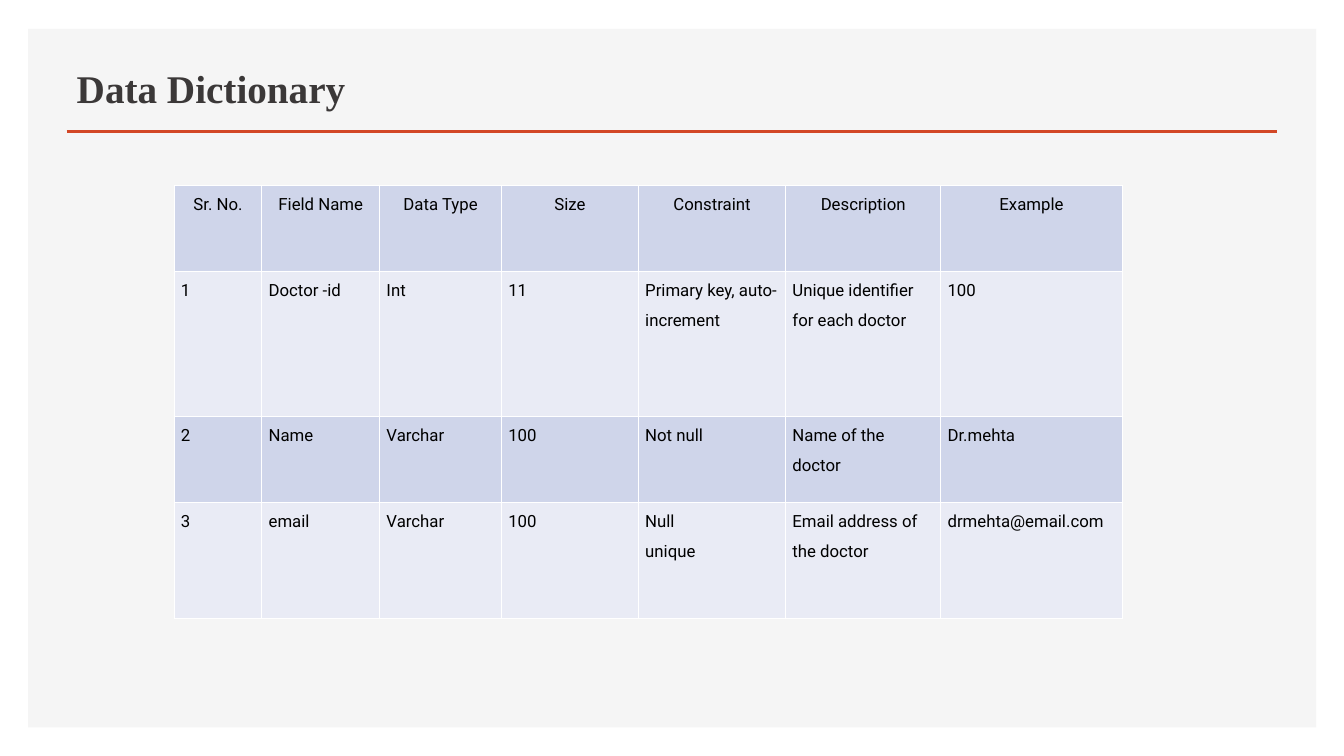
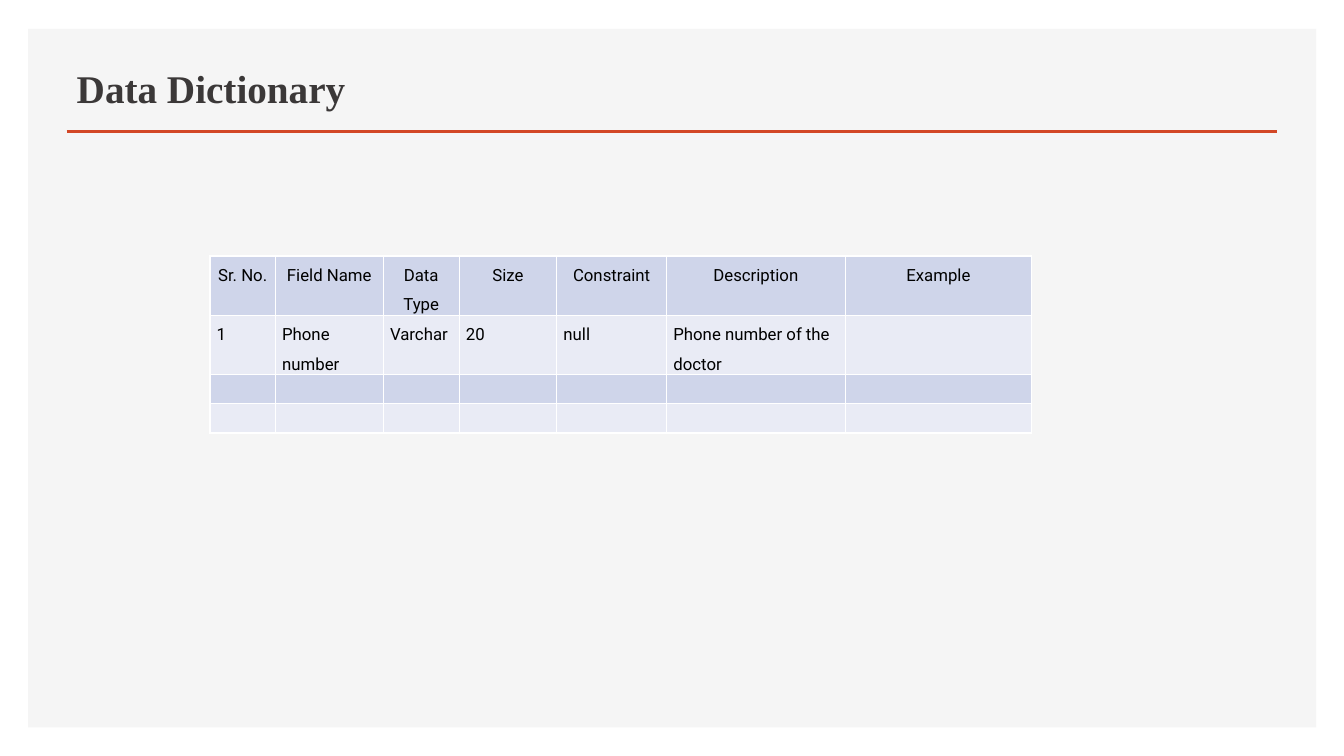
from dataclasses import dataclass

from lxml.etree import SubElement
from pptx import Presentation
from pptx.dml.color import RGBColor
from pptx.enum.shapes import MSO_CONNECTOR as Connector, MSO_SHAPE as Shape
from pptx.enum.text import MSO_ANCHOR as Anchor, MSO_AUTO_SIZE as AutoSize, PP_ALIGN as Align
from pptx.oxml.ns import qn
from pptx.util import Cm, Pt

TITLE = "Data Dictionary"
HEADER = ("Sr. No.", "Field Name", "Data Type", "Size", "Constraint", "Description", "Example")
BLANK = ("",) * len(HEADER)

TABLES = [
    dict(
        left=4.39, top=4.67,
        widths=(2.21, 2.97, 3.07, 3.45, 3.71, 3.91, 4.57),
        heights=(2.17, 3.65, 2.17, 2.92),
        rows=[
            ("1", "Doctor -id", "Int", "11", "Primary key, auto-increment",
             "Unique identifier for each doctor", "100"),
            ("2", "Name", "Varchar", "100", "Not null", "Name of the doctor", "Dr.mehta"),
            ("3", "email", "Varchar", "100", "Null\nunique",
             "Email address of the doctor", "drmehta@email.com"),
        ],
    ),
    dict(
        left=5.29, top=6.45,
        widths=(1.65, 2.72, 1.91, 2.46, 2.77, 4.5, 4.7),
        heights=(1.49, 1.49, 0.74, 0.74),
        rows=[
            ("1", "Phone number", "Varchar", "20", "null", "Phone number of the doctor", ""),
            BLANK,
            BLANK,
        ],
    ),
]


@dataclass(frozen=True)
class Theme:
    panel: str = "F5F5F5"
    accent: str = "D24726"
    title: str = "3B3838"
    text: str = "000000"
    border: str = "FFFFFF"
    bands: tuple = ("CFD5EA", "E9EBF5")
    title_font: str = "Times New Roman"
    body_font: str = "Roboto"
    title_size: int = 28
    body_size: int = 12
    rule_width: int = 2
    border_width: int = 1
    margin: float = 1.68
    content_width: float = 30.5
    rule_top: float = 3.32
    cell_inset: float = 0.17


THEME = Theme()


def rgb(value):
    return RGBColor.from_string(value)


def set_font(font, name, size, color, bold=False):
    font.name, font.size, font.bold = name, Pt(size), bold
    font.color.rgb = rgb(color)


def decorate_layout(layout, s):
    panel = s.shapes.add_shape(Shape.RECTANGLE, Cm(0.71), Cm(0.73), Cm(32.46), Cm(17.6))
    panel.shadow.inherit = False
    panel.fill.solid()
    panel.fill.fore_color.rgb = rgb(THEME.panel)
    panel.line.fill.background()
    y = Cm(THEME.rule_top)
    rule = s.shapes.add_connector(Connector.STRAIGHT, Cm(THEME.margin), y,
                                  Cm(THEME.margin + THEME.content_width), y)
    rule.line.color.rgb = rgb(THEME.accent)
    rule.line.width = Pt(THEME.rule_width)
    SubElement(rule._element.spPr, qn("a:effectLst"))
    for index, shape in enumerate((panel, rule), start=2):
        layout.shapes._spTree.insert(index, shape._element)


def format_title(s):
    title = s.shapes.title
    title.left, title.top = Cm(THEME.margin), Cm(1.24)
    title.width, title.height = Cm(THEME.content_width), Cm(2.08)
    tf = title.text_frame
    tf.text = TITLE
    tf.word_wrap = True
    tf.auto_size = AutoSize.NONE
    tf.vertical_anchor = Anchor.MIDDLE
    p = tf.paragraphs[0]
    p.alignment = Align.LEFT
    p.line_spacing = 0.9
    set_font(p.font, THEME.title_font, THEME.title_size, THEME.title, bold=True)


def add_borders(cell):
    tc_pr = cell._tc.get_or_add_tcPr()
    for side in ("lnL", "lnR", "lnT", "lnB"):
        ln = SubElement(tc_pr, qn(f"a:{side}"), w=str(Pt(THEME.border_width)))
        fill = SubElement(ln, qn("a:solidFill"))
        SubElement(fill, qn("a:srgbClr"), val=THEME.border)


def fill_cell(cell, text, band, align):
    add_borders(cell)
    cell.fill.solid()
    cell.fill.fore_color.rgb = rgb(band)
    cell.margin_left = cell.margin_right = Cm(THEME.cell_inset)
    cell.margin_top = cell.margin_bottom = 0
    cell.text = text
    for p in cell.text_frame.paragraphs:
        if text:
            p.alignment = align
            p.line_spacing = 1.5
            set_font(p.font, THEME.body_font, THEME.body_size, THEME.text)
        else:
            p._p.get_or_add_endParaRPr().set("sz", str(THEME.body_size * 100))


def add_dictionary(s, data):
    rows = [HEADER, *data["rows"]]
    widths, heights = data["widths"], data["heights"]
    table = s.shapes.add_table(len(rows), len(HEADER), Cm(data["left"]), Cm(data["top"]),
                               Cm(sum(widths)), Cm(sum(heights))).table
    table.first_row = table.horz_banding = False
    for column, width in zip(table.columns, widths):
        column.width = Cm(width)
    for i, (row, height) in enumerate(zip(rows, heights)):
        table.rows[i].height = Cm(height)
        band = THEME.bands[i % len(THEME.bands)]
        align = Align.LEFT if i else Align.CENTER
        for j, text in enumerate(row):
            fill_cell(table.cell(i, j), text, band, align)


def main():
    prs = Presentation()
    prs.slide_width, prs.slide_height = Cm(33.87), Cm(19.05)
    layout = prs.slide_layouts.get_by_name("Title Only")
    for i, data in enumerate(TABLES):
        s = prs.slides.add_slide(layout)
        if i == 0:
            decorate_layout(layout, s)
        format_title(s)
        add_dictionary(s, data)
    prs.save("out.pptx")


if __name__ == "__main__":
    main()
